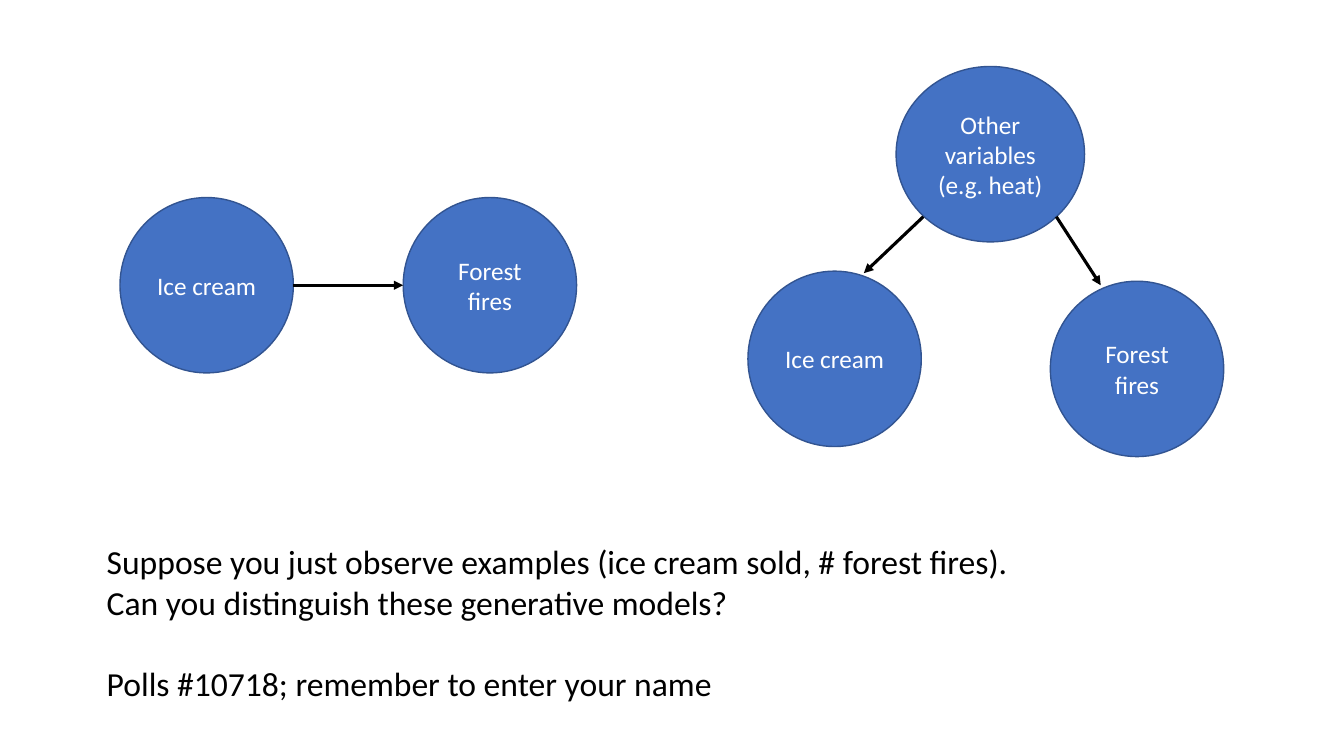
from lxml import etree
from pptx import Presentation
from pptx.dml.color import RGBColor
from pptx.enum.shapes import MSO_CONNECTOR, MSO_SHAPE
from pptx.enum.text import MSO_ANCHOR, PP_ALIGN
from pptx.oxml.ns import qn
from pptx.util import Inches, Pt

OVAL = MSO_SHAPE.OVAL
STRAIGHT = MSO_CONNECTOR.STRAIGHT
MIDDLE = MSO_ANCHOR.MIDDLE
CENTER = PP_ALIGN.CENTER
COLORS = {name: RGBColor.from_string(value) for name, value in {
    "node": "4472C4", "outline": "325491", "label": "FFFFFF", "ink": "000000",
}.items()}

deck = Presentation()
deck.slide_width, deck.slide_height = Inches(13.333), Inches(7.5)
COLUMN, ROW = deck.slide_width / 40, deck.slide_height / 30
page = deck.slides.add_slide(deck.slide_layouts[6])


def place(*cells):
    return [round(cell * unit) for cell, unit in zip(cells, (COLUMN, ROW) * 2)]


def write(para, text, size, color):
    span = para.add_run()
    span.text = text
    for attribute, value in {"name": "Calibri", "size": Pt(size)}.items():
        setattr(span.font, attribute, value)
    span.font.color.rgb = COLORS[color]


NODE_WIDTH, NODE_HEIGHT = 5.16, 6.96
nodes = [
    ("Ice cream", 3.57, 7.84, NODE_WIDTH),
    ("Forest fires", 12, 7.84, NODE_WIDTH),
    ("Other variables (e.g. heat)", 26.67, 2.64, 5.61),
    ("Ice cream", 22.26, 10.76, NODE_WIDTH),
    ("Forest fires", 31.26, 11.16, NODE_WIDTH),
]
for label, left, top, width in nodes:
    node = page.shapes.add_shape(OVAL, *place(left, top, width, NODE_HEIGHT))
    node.shadow.inherit = False
    node.fill.solid()
    node.fill.fore_color.rgb = COLORS["node"]
    node.line.color.rgb = COLORS["outline"]
    node.line.width = Pt(1)
    for attribute, value in {"word_wrap": True, "vertical_anchor": MIDDLE}.items():
        setattr(node.text_frame, attribute, value)
    para = node.text_frame.paragraphs[0]
    para.alignment = CENTER
    write(para, label, 18, "label")

arrows = [
    (8.73, 11.32, 12, 11.32),
    (27.48, 8.6, 25.71, 10.84),
    (31.44, 8.6, 32.76, 11.32),
]
for ends in arrows:
    arrow = page.shapes.add_connector(STRAIGHT, *place(*ends))
    arrow.line.color.rgb = COLORS["ink"]
    arrow.line.width = Pt(2.25)
    etree.SubElement(arrow.line._get_or_add_ln(), qn("a:tailEnd"), type="triangle")
    etree.SubElement(arrow._element.spPr, qn("a:effectLst"))

question = page.shapes.add_textbox(*place(2.88, 21.28, 29.01, 6.88)).text_frame
question.word_wrap = True
write(question.paragraphs[0],
      "Suppose you just observe examples (ice cream sold, # forest fires). "
      "Can you distinguish these generative models?", 24, "ink")
reminder = question.add_paragraph()
reminder.space_before = Pt(29)
write(reminder, "Polls #10718; remember to enter your name", 24, "ink")

deck.save("out.pptx")
